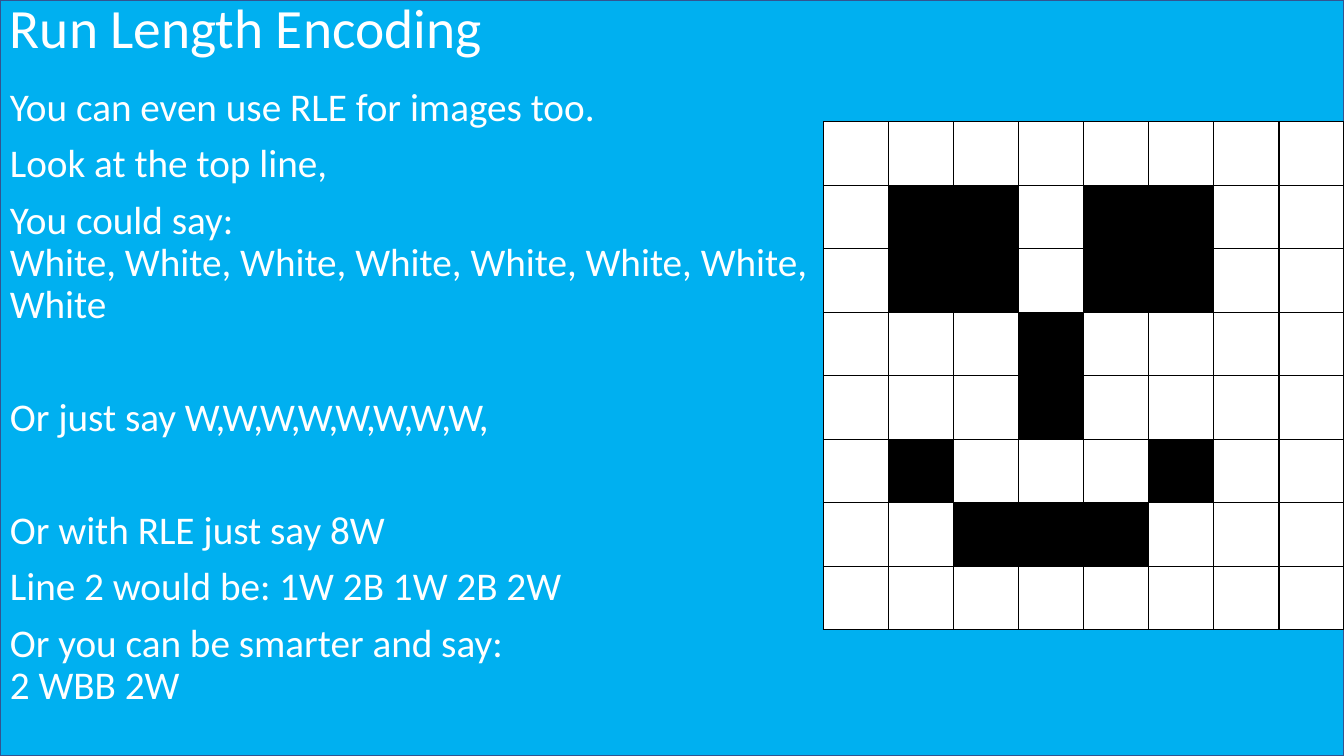
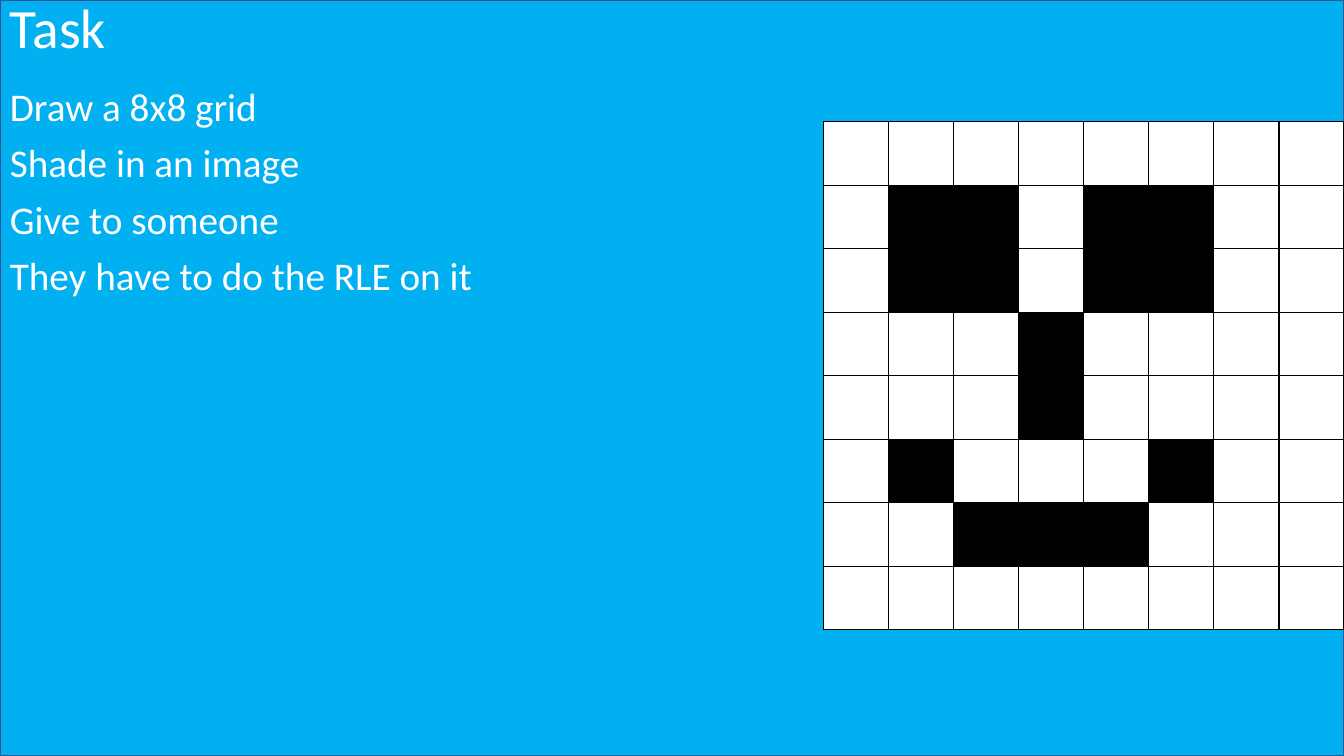
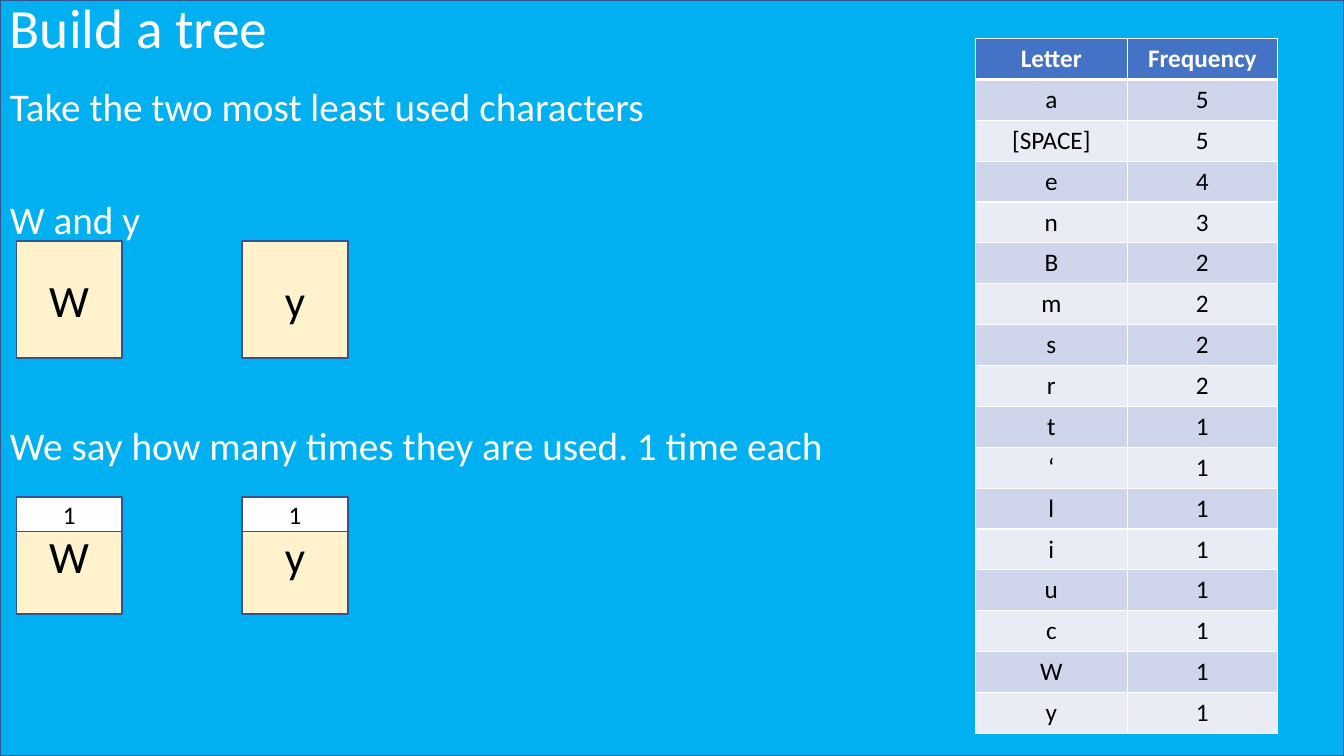
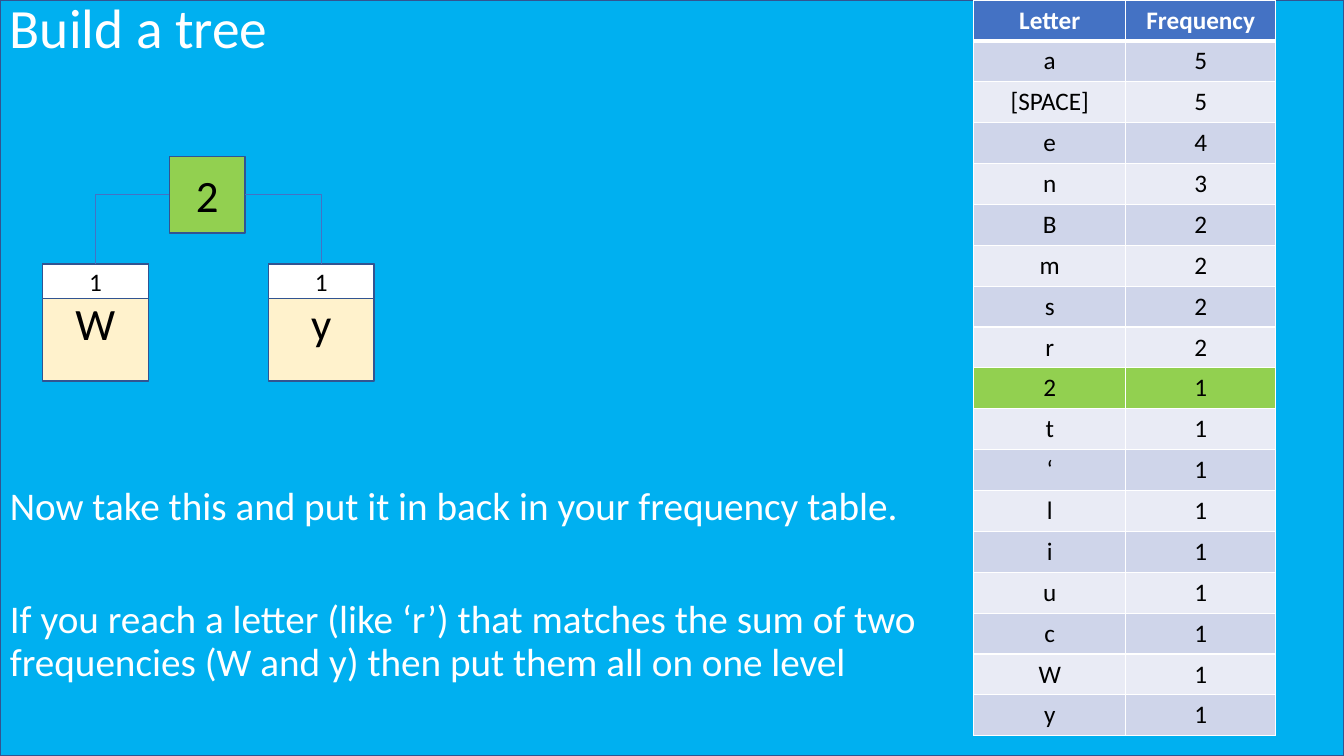
"""Build four slides on run length encoding and frequency trees."""
from dataclasses import dataclass

import lxml.etree
import pptx
import pptx.dml.color
import pptx.enum.shapes
import pptx.enum.text
import pptx.oxml.ns
import pptx.util

Cm, Pt = pptx.util.Cm, pptx.util.Pt
RGB = pptx.dml.color.RGBColor.from_string
MIDDLE = pptx.enum.text.MSO_ANCHOR.MIDDLE
CENTER = pptx.enum.text.PP_ALIGN.CENTER
RECT = pptx.enum.shapes.MSO_SHAPE.RECTANGLE
ELBOW = pptx.enum.shapes.MSO_CONNECTOR.ELBOW
qn = pptx.oxml.ns.qn


@dataclass(frozen=True)
class Theme:
    font: str = "Calibri"
    sky: str = "00B0F0"
    outline: str = "325491"
    white: str = "FFFFFF"
    black: str = "000000"
    accent: str = "4472C4"
    bands: tuple = ("E9EBF5", "CFD5EA")
    cream: str = "FFF2CC"
    green: str = "92D050"
    title: float = 39.6
    body: float = 28
    symbol: float = 32
    small: float = 18
    gap: float = 10
    line_pitch: float = 40.4


T = Theme()
WIDTH, HEIGHT = 33.87, 19.05
BODY_TOP = 2.08

RLE_TEXT = [
    (0, "You can even use RLE for images too."),
    (0, "Look at the top line,"),
    (0, "You could say:\vWhite, White, White, White, White, White, White, White"),
    (1, "Or just say W,W,W,W,W,W,W,W,"),
    (1, "Or with RLE just say 8W"),
    (0, "Line 2 would be: 1W 2B 1W 2B 2W"),
    (0, "Or you can be smarter and say:\v2 WBB 2W"),
]
TASK_TEXT = [
    (0, "Draw a 8x8 grid"),
    (0, "Shade in an image"),
    (0, "Give to someone"),
    (0, "They have to do the RLE on it"),
]
PAIR_TEXT = [
    (0, "Take the two most least used characters"),
    (1, "W and y"),
    (3, "We say how many times they are used. 1 time each"),
]
MERGE_TEXT = [
    (0, "Now take this and put it in back in your frequency table."),
    (1, "If you reach a letter (like ‘r’) that matches the sum of two\v"
        "frequencies (W and y) then put them all on one level"),
]
FACE = [
    "WWWWWWWW",
    "WBBWBBWW",
    "WBBWBBWW",
    "WWWBWWWW",
    "WWWBWWWW",
    "WBWWWBWW",
    "WWBBBWWW",
    "WWWWWWWW",
]
COMMON = [("a", 5), ("[SPACE]", 5), ("e", 4), ("n", 3),
          ("B", 2), ("m", 2), ("s", 2), ("r", 2)]
RARE = [(letter, 1) for letter in "t‘liucWy"]
MERGED = ("2", 1)
LEAVES = "Wy"


def style(p, size, color, bold=False):
    for r in p.runs:
        r.font.name = T.font
        r.font.size = Pt(size)
        r.font.bold = bold
        r.font.color.rgb = RGB(color)


def add_box(s, x, y, w, h, fill, text="", size=T.symbol):
    sp = s.shapes.add_shape(RECT, Cm(x), Cm(y), Cm(w), Cm(h))
    sp.shadow.inherit = False
    sp.fill.solid()
    sp.fill.fore_color.rgb = RGB(fill)
    sp.line.color.rgb = RGB(T.outline)
    sp.line.width = Pt(1)
    tf = sp.text_frame
    tf.margin_left = tf.margin_right = tf.margin_top = tf.margin_bottom = 0
    tf.vertical_anchor = MIDDLE
    if text:
        tf.text = text
        tf.paragraphs[0].alignment = CENTER
        style(tf.paragraphs[0], size, T.black)
    return sp


def add_text(s, y, w, h, items, size):
    tf = s.shapes.add_textbox(0, Cm(y), Cm(w), Cm(h)).text_frame
    tf.word_wrap = True
    for i, (skipped, text) in enumerate(items):
        p = tf.add_paragraph() if i else tf.paragraphs[0]
        p.text = text
        p.line_spacing = 0.9
        if i:
            p.space_before = Pt(T.gap + skipped * T.line_pitch)
        style(p, size, T.white)
    return tf


def add_slide(prs, title, items, top=BODY_TOP, width=WIDTH):
    s = prs.slides.add_slide(prs.slide_layouts[6])
    add_box(s, 0, 0, WIDTH, HEIGHT, T.sky)
    tf = add_text(s, 0, WIDTH, 1.53, [(0, title)], T.title)
    tf.margin_top = tf.margin_bottom = 0
    tf.vertical_anchor = MIDDLE
    add_text(s, top, width, HEIGHT - top, items, T.body)
    return s


def paint_cell(cell, fill, border, bottom=1):
    cell.fill.solid()
    cell.fill.fore_color.rgb = RGB(fill)
    tcPr = cell._tc.get_or_add_tcPr()
    for i, (side, width) in enumerate(zip("LRTB", (1, 1, 1, bottom))):
        ln = lxml.etree.Element(qn(f"a:ln{side}"), w=str(Pt(width)))
        solid = lxml.etree.SubElement(ln, qn("a:solidFill"))
        lxml.etree.SubElement(solid, qn("a:srgbClr"), val=border)
        tcPr.insert(i, ln)


def add_grid(s, x, y, widths, row_height, count):
    table = s.shapes.add_table(count, len(widths), Cm(x), Cm(y),
                               Cm(sum(widths)), Cm(row_height * count)).table
    table.horz_banding = False
    for col, w in zip(table.columns, widths):
        col.width = Cm(w)
    for row in table.rows:
        row.height = Cm(row_height)
    return table


def add_face(s):
    table = add_grid(s, 20.75, 3.07, [1.64] * len(FACE[0]), 1.6, len(FACE))
    table.first_row = False
    for i, pixels in enumerate(FACE):
        for j, pixel in enumerate(pixels):
            fill = T.black if pixel == "B" else T.white
            paint_cell(table.cell(i, j), fill, T.black)


def add_frequencies(s, x, y, entries):
    rows = [("Letter", "Frequency"), *entries]
    table = add_grid(s, x, y, [3.83, 3.78], 1.03, len(rows))
    for i, row in enumerate(rows):
        header = i == 0
        fill = T.accent if header else T.green if row == MERGED else T.bands[i % 2]
        for j, value in enumerate(row):
            cell = table.cell(i, j)
            paint_cell(cell, fill, T.white, 3 if header else 1)
            cell.text = str(value)
            p = cell.text_frame.paragraphs[0]
            p.alignment = CENTER
            style(p, T.small, T.white if header else T.black, header)


def add_leaves(s, x, y, counted=True):
    cards = []
    for i, letter in enumerate(LEAVES):
        left = x + i * 5.69
        cards.append(add_box(s, left, y, 2.67, 2.95, T.cream, letter))
        if counted:
            add_box(s, left, y, 2.67, 0.88, T.white, "1", T.small)
    return cards


def add_branch(s, root, side, leaf):
    cx = s.shapes.add_connector(ELBOW, 0, 0, 0, 0)
    cx.begin_connect(root, side)
    cx.end_connect(leaf, 0)
    cx.line.color.rgb = RGB(T.accent)
    cx.line.width = Pt(0.5)
    spPr = cx._element.spPr
    spPr.find(qn("a:prstGeom")).set("prst", "bentConnector2")
    lxml.etree.SubElement(spPr, qn("a:effectLst"))


def main():
    prs = pptx.Presentation()
    prs.slide_width, prs.slide_height = Cm(WIDTH), Cm(HEIGHT)

    add_face(add_slide(prs, "Run Length Encoding", RLE_TEXT, width=20.75))
    add_face(add_slide(prs, "Task", TASK_TEXT))

    s = add_slide(prs, "Build a tree", PAIR_TEXT)
    add_frequencies(s, 24.58, 0.97, COMMON + RARE)
    add_leaves(s, 0.41, 6.07, counted=False)
    add_leaves(s, 0.41, 12.52)

    s = add_slide(prs, "Build a tree", MERGE_TEXT, top=12.15)
    leaves = add_leaves(s, 1.07, 6.65)
    root = add_box(s, 4.27, 3.94, 1.91, 1.93, T.green, "2")
    for side, leaf in zip((1, 3), leaves):
        add_branch(s, root, side, leaf)
    add_frequencies(s, 24.54, 0, COMMON + [MERGED] + RARE)

    prs.save("out.pptx")


if __name__ == "__main__":
    main()
